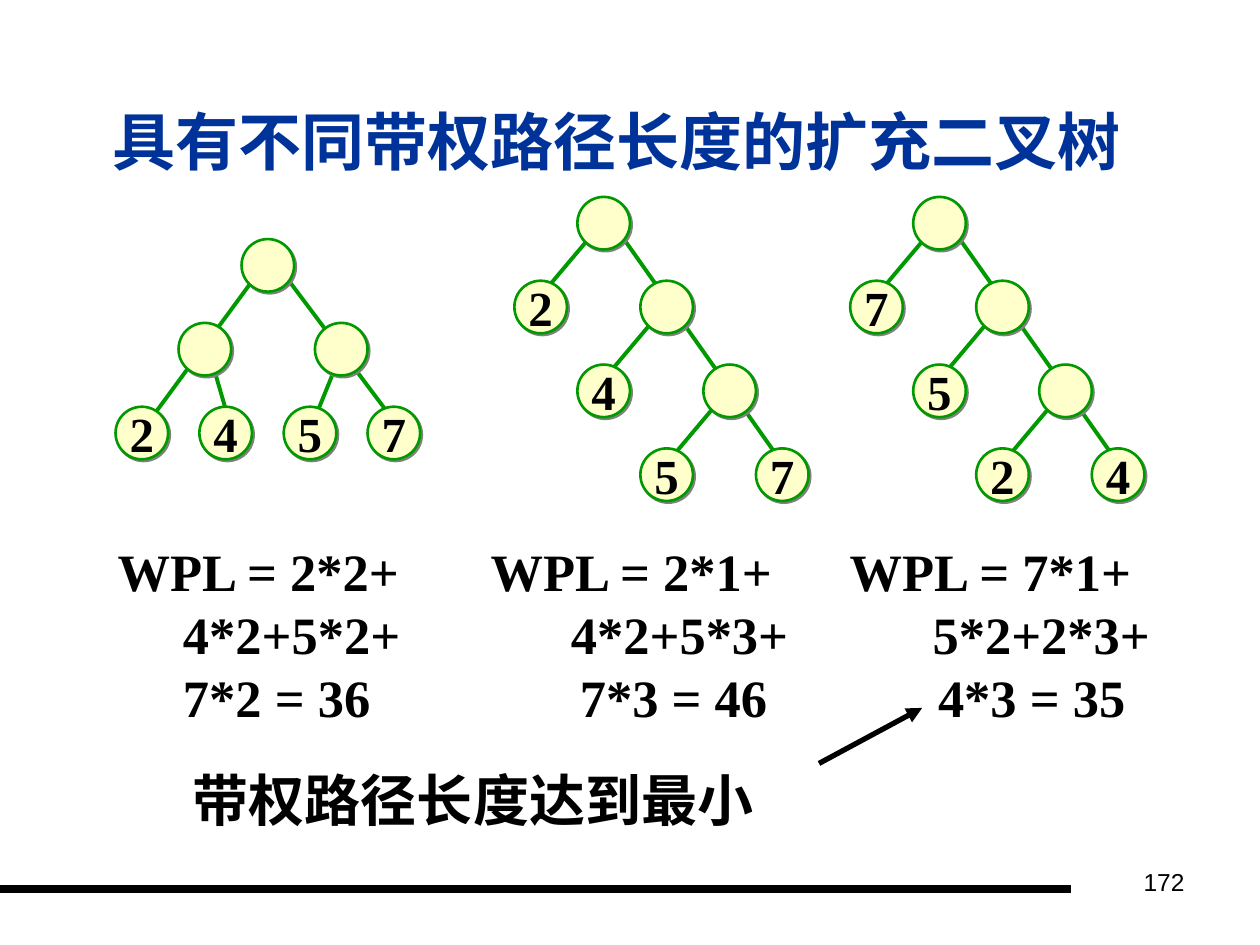
from lxml import etree
from pptx import Presentation
from pptx import util as u
from pptx.dml import color
from pptx.enum import shapes, text
from pptx.oxml import ns

SERIF, SANS, CHINESE = "Times New Roman", "Arial", "Noto Sans CJK SC"
GREEN, CREAM, BLACK, BLUE, GREY = "009900", "FFFFCC", "000000", "003399", "808080"
NODE = 1.06
LEVEL = 1.69
STEP = 1.27

BALANCED_EDGES = [
    ((0.64, 0.42), (3.18, 3.81)),
    ((1.91, 2.54), (1.48, 3.6)),
    ((-0.64, 2.33), (-0.21, 3.81)),
    ((0.21, 0.85), (-2.12, 4.02)),
]
BALANCED_NODES = [
    (0, 0, ""), (-STEP, LEVEL, ""), (1.48, LEVEL, ""),
    (-2.54, 2 * LEVEL, "2"), (-0.85, 2 * LEVEL, "4"),
    (0.85, 2 * LEVEL, "5"), (2.54, 2 * LEVEL, "7"),
]
FORMULAS = [
    ("WPL = 2*2+\tWPL = 2*1+\tWPL = 7*1+", [7.52, 14.76]),
    ("\t4*2+5*2+\t4*2+5*3+\t5*2+2*3+", [1.32, 9.14, 16.43]),
    ("\t7*2 = 36\t7*3 = 46\t4*3 = 35", [1.32, 9.32, 16.54]),
]


def rgb(value):
    return color.RGBColor.from_string(value)


def add_child(parent, tag, **attributes):
    return etree.SubElement(parent, ns.qn(tag), attributes)


def add_line(page, start, end, shade, width, arrow=False):
    points = [u.Cm(value) for value in (*start, *end)]
    line = page.shapes.add_connector(shapes.MSO_CONNECTOR.STRAIGHT, *points)
    line.line.color.rgb = rgb(shade)
    line.line.width = u.Pt(width)
    if arrow:
        add_child(line.line._get_or_add_ln(), "a:tailEnd", type="triangle")
    add_child(line._element.spPr, "a:effectLst")


def add_span(para, words, size, shade, font=SERIF, bold=True):
    span = para.add_run()
    span.text = words
    span.font.name = font
    span.font.size = u.Pt(size)
    span.font.bold = bold
    span.font.color.rgb = rgb(shade)
    add_child(span._r.get_or_add_rPr(), "a:ea", typeface=CHINESE)


def add_box(page, left, top, width, height):
    box = page.shapes.add_textbox(u.Cm(left), u.Cm(top), u.Cm(width), u.Cm(height))
    box.text_frame.word_wrap = True
    return box.text_frame


def set_tabs(para, stops):
    tabs = add_child(para._p.get_or_add_pPr(), "a:tabLst")
    for stop in stops:
        add_child(tabs, "a:tab", pos=str(u.Cm(stop)), algn="l")


def add_node(page, left, top, weight):
    node = page.shapes.add_shape(
        shapes.MSO_SHAPE.OVAL, u.Cm(left), u.Cm(top), u.Cm(NODE), u.Cm(NODE))
    node.fill.solid()
    node.fill.fore_color.rgb = rgb(CREAM)
    node.line.color.rgb = rgb(GREEN)
    node.line.width = u.Pt(1.5)
    node.shadow.inherit = False
    effects = node._element.spPr.find(ns.qn("a:effectLst"))
    shadow = add_child(effects, "a:outerShdw", dist=str(u.Pt(1.4)), dir="2700000")
    add_child(shadow, "a:srgbClr", val=GREY)
    if weight:
        frame = node.text_frame
        frame.word_wrap = False
        frame.vertical_anchor = text.MSO_ANCHOR.MIDDLE
        frame.margin_left = frame.margin_right = 0
        frame.margin_top = frame.margin_bottom = 0
        para = frame.paragraphs[0]
        para.alignment = text.PP_ALIGN.CENTER
        add_span(para, weight, 28, BLACK)


def add_tree(page, left, top, edges, nodes):
    for (x1, y1), (x2, y2) in edges:
        add_line(page, (left + x1, top + y1), (left + x2, top + y2), GREEN, 2.25)
    for x, y, weight in nodes:
        add_node(page, left + x, top + y, weight)


def add_chain_tree(page, left, top, weights):
    edges = [((0.64, 0.43), (4.23, 5.51))]
    nodes = []
    for depth, weight in enumerate(weights[:-1]):
        x, y = depth * STEP, depth * LEVEL
        edges.append(((x + 0.22, y + 0.85), (x - 0.85, y + 2.12)))
        leaf_left = x - STEP if depth < 2 else x - STEP
        nodes += [(x, y, ""), (leaf_left, y + LEVEL, weight)]
    nodes.append((3.6, 3 * LEVEL, weights[-1]))
    add_tree(page, left, top, edges, nodes)


def add_title(page):
    para = add_box(page, 2.01, 1.95, 21.17, 1.78).paragraphs[0]
    para.line_spacing = u.Pt(43.2)
    add_span(para, "具有不同带权路径长度的扩充二叉树", 36, BLUE)


def add_formulas(page):
    frame = add_box(page, 2.12, 10.74, 21.59, 6.2)
    for index, (words, stops) in enumerate(FORMULAS):
        para = frame.add_paragraph() if index else frame.paragraphs[0]
        para.line_spacing = u.Pt(36)
        set_tabs(para, stops)
        add_span(para, words, 30, BLACK)
    para = frame.add_paragraph()
    para.line_spacing = u.Pt(38.4)
    para.space_before = u.Pt(21.6)
    set_tabs(para, [1.52])
    add_span(para, "\t带权路径长度达到最小", 32, BLACK, CHINESE)


def add_footer(page):
    add_line(page, (0, 17.93), (21.59, 17.93), BLACK, 4.5)
    para = add_box(page, 18.21, 17.35, 5.92, 1.32).paragraphs[0]
    para.alignment = text.PP_ALIGN.RIGHT
    add_span(para, "172", 14, BLACK, SANS, False)


def main():
    deck = Presentation()
    deck.slide_width, deck.slide_height = u.Cm(25.4), u.Cm(19.05)
    page = deck.slides.add_slide(deck.slide_layouts[6])
    add_footer(page)
    add_title(page)
    add_formulas(page)
    add_tree(page, 4.87, 4.82, BALANCED_EDGES, BALANCED_NODES)
    add_chain_tree(page, 11.64, 3.97, "2457")
    add_chain_tree(page, 18.41, 3.97, "7524")
    add_line(page, (16.51, 15.39), (18.59, 14.27), BLACK, 3, arrow=True)
    deck.save("out.pptx")


if __name__ == "__main__":
    main()
